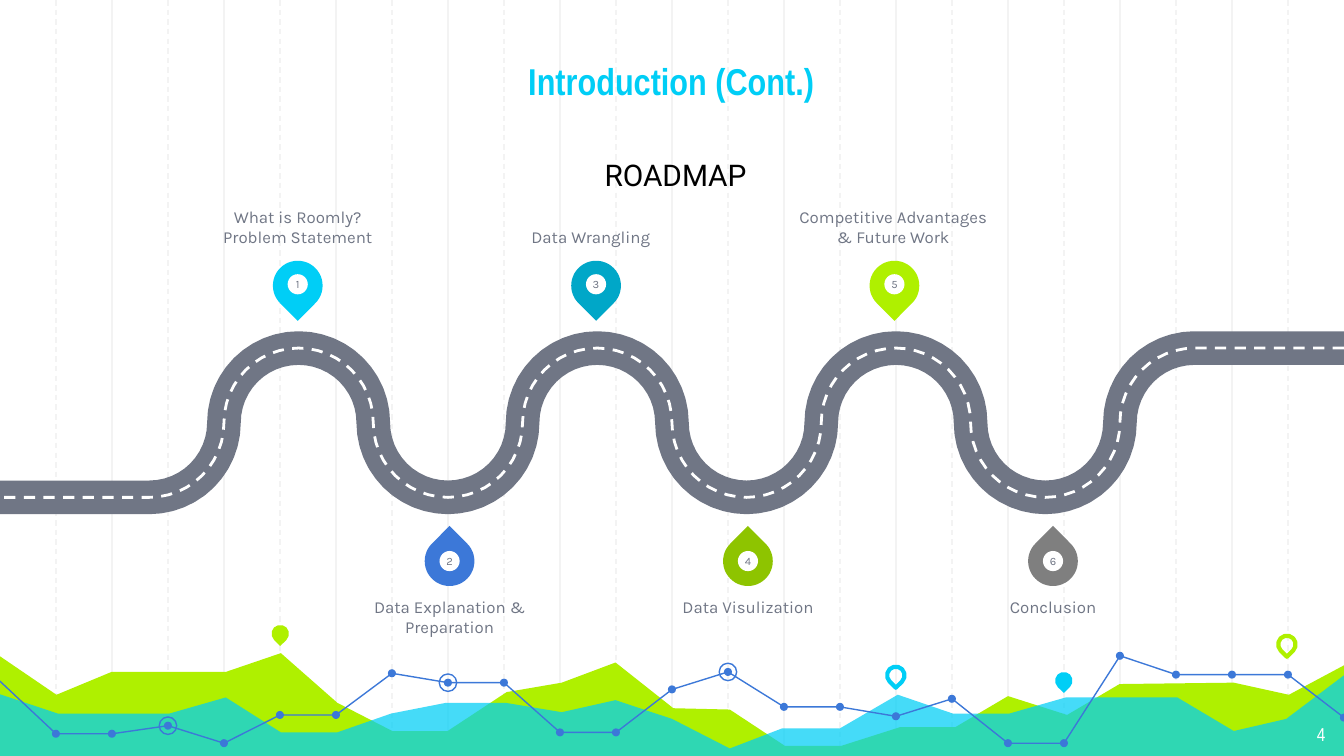
"""Build the "Introduction (Cont.)" roadmap slide."""
from math import cos, pi, sin

from lxml import etree
from pptx import Presentation
from pptx.dml.color import RGBColor
from pptx.enum.dml import MSO_LINE
from pptx.enum.shapes import MSO_CONNECTOR, MSO_SHAPE
from pptx.enum.text import MSO_ANCHOR, MSO_AUTO_SIZE, PP_ALIGN
from pptx.oxml.ns import qn
from pptx.util import Inches, Pt

DASH = MSO_LINE.DASH
STRAIGHT = MSO_CONNECTOR.STRAIGHT
OVAL, TEARDROP = MSO_SHAPE.OVAL, MSO_SHAPE.TEAR
TOP, MIDDLE, BOTTOM = MSO_ANCHOR.TOP, MSO_ANCHOR.MIDDLE, MSO_ANCHOR.BOTTOM
CENTER, RIGHT, JUSTIFY = PP_ALIGN.CENTER, PP_ALIGN.RIGHT, PP_ALIGN.JUSTIFY

CYAN = RGBColor(0x00, 0xCE, 0xF6)
TEAL = RGBColor(0x00, 0xA7, 0xC8)
LIME = RGBColor(0xAF, 0xF0, 0x00)
GREEN = RGBColor(0x8E, 0xC4, 0x00)
BLUE = RGBColor(0x3C, 0x78, 0xD8)
GRAY = RGBColor(0x7F, 0x7F, 0x7F)
SLATE = RGBColor(0x70, 0x76, 0x85)
PALE = RGBColor(0xF3, 0xF3, 0xF3)
WHITE = RGBColor(0xFF, 0xFF, 0xFF)
BLACK = RGBColor(0x00, 0x00, 0x00)


def write_text(shape, text, font="Karla", size=9, color=SLATE, bold=False,
               align=CENTER, anchor=TOP, inset_x=0, inset_y=0):
    frame = shape.text_frame
    frame.text = text
    frame.word_wrap = True
    frame.auto_size = MSO_AUTO_SIZE.NONE
    frame.vertical_anchor = anchor
    frame.margin_left = frame.margin_right = Inches(inset_x)
    frame.margin_top = frame.margin_bottom = Inches(inset_y)
    for paragraph in frame.paragraphs:
        paragraph.alignment = align
        for run in paragraph.runs:
            run.font.name = font
            run.font.size = Pt(size)
            run.font.bold = bold
            run.font.color.rgb = color


def paint(shape, fill=None, line=None, width=0.75):
    shape.shadow.inherit = False
    if fill is None:
        shape.fill.background()
    else:
        shape.fill.solid()
        shape.fill.fore_color.rgb = fill
    if line is None:
        shape.line.fill.background()
    else:
        shape.line.color.rgb = line
        shape.line.width = Pt(width)


presentation = Presentation()
presentation.slide_width = Inches(10)
presentation.slide_height = Inches(10 * 9 / 16)
slide = presentation.slides.add_slide(presentation.slide_layouts[5])
shapes = slide.shapes

column = 10 / 24
for index in range(1, 24):
    x = Inches(index * column)
    grid_line = shapes.add_connector(STRAIGHT, x, 0, x, Inches(5.65))
    grid_line.line.color.rgb = PALE
    grid_line.line.width = Pt(0.75)
    if index % 2:
        grid_line.line.dash_style = DASH
    etree.SubElement(grid_line._element.spPr, qn("a:effectLst"))

lime_area = [
    (-0.02, 4.87), (0.42, 5.17), (0.83, 5), (1.68, 5), (2.09, 4.86), (2.51, 5.23),
    (2.92, 5.44), (3.33, 5.44), (3.77, 5.15), (4.18, 5.08), (4.58, 4.93), (5.01, 5.27),
    (5.43, 5.28), (5.84, 5.55), (6.26, 5.55), (6.7, 5.41), (7.11, 5.41), (7.5, 5.18),
    (7.94, 5.32), (8.33, 5.09), (9.18, 5.08), (9.59, 5.17), (10.02, 4.94),
    (10.01, 5.64), (-0.03, 5.64)]
cyan_area = [
    (-0.02, 5.16), (0.43, 5.31), (1.26, 5.31), (1.68, 5.19), (2.09, 5.45), (2.51, 5.45),
    (2.91, 5.31), (3.32, 5.23), (3.76, 5.23), (4.18, 5.3), (4.58, 5.21), (5, 5.35),
    (5.43, 5.57), (5.82, 5.42), (6.25, 5.42), (6.68, 5.17), (7.09, 5.31), (7.51, 5.31),
    (7.93, 5.19), (8.76, 5.19), (9.18, 5.44), (9.57, 5.35), (10.02, 5.01),
    (10.02, 5.65), (-0.03, 5.65)]

trend_heights = [5.46, 5.46, 5.4, 5.53, 5.32, 5.32, 5.01, 5.08, 5.08, 5.45, 5.45, 5.13,
                 5, 5.26, 5.26, 5.33, 5.2, 5.53, 5.53, 4.88, 5.02, 5.02, 5.02, 5.34]
trend_dots = [(index * column, y) for index, y in enumerate(trend_heights, 1)]
trend_start = [(-0.01, 5.06)] + trend_dots[:11]
trend_middle = trend_dots[10:20]
trend_end = trend_dots[19:]

bend_gap = 10 / 9
bend_radius = bend_gap / 2
road_middle = 2.59 + bend_radius
arc_steps = 24
road = [(0, road_middle + bend_radius)]
for step in range(arc_steps // 2, arc_steps * 15 // 2 + 1):
    bend, part = divmod(step, arc_steps)
    angle = pi * part / arc_steps
    side = -1 if bend % 2 else 1
    road.append((bend_gap * (bend + 1) - bend_radius * cos(angle),
                 road_middle + side * bend_radius * sin(angle)))
road.append((10, road_middle - bend_radius))
road.reverse()

outlines = []
for points, closed, style in [
    (lime_area, True, {"fill": LIME}),
    (cyan_area, True, {"fill": CYAN}),
    (trend_start, False, {"line": BLUE}),
    (trend_middle, False, {"line": BLUE}),
    (trend_end, False, {"line": BLUE}),
    (road, False, {"line": SLATE, "width": 18}),
    (road, False, {"line": WHITE, "width": 1.5}),
]:
    corners = [(Inches(x), Inches(y)) for x, y in points]
    builder = shapes.build_freeform(*corners[0])
    builder.add_line_segments(corners[1:], close=closed)
    outline = builder.convert_to_shape()
    paint(outline, **style)
    outlines.append(outline)
cyan_color = outlines[1]._element.spPr.find(".//" + qn("a:srgbClr"))
etree.SubElement(cyan_color, qn("a:alpha"), val="73000")
outlines[-1].line.dash_style = DASH

for left, top, style in [
    (2.02, 4.65, {"fill": LIME}),
    (6.6, 4.96, {"line": CYAN, "width": 2.25}),
    (7.85, 5, {"fill": CYAN}),
    (9.51, 4.73, {"line": LIME, "width": 2.25}),
]:
    marker = shapes.add_shape(TEARDROP, Inches(left), Inches(top), Inches(0.13), Inches(0.13))
    marker.rotation = 135
    paint(marker, **style)

ringed_dots = [trend_dots[index] for index in (2, 7, 12)]
for centers, size, style in [
    (trend_dots, 0.06, {"fill": BLUE}),
    (ringed_dots, 0.13, {"line": BLUE}),
]:
    for x, y in centers:
        dot = shapes.add_shape(OVAL, Inches(x - size / 2), Inches(y - size / 2),
                               Inches(size), Inches(size))
        paint(dot, **style)

title = shapes.title
title._element.getparent().append(title._element)
title.left, title.top = Inches(1.17), Inches(0.09)
title.width, title.height = Inches(7.65), Inches(0.78)
write_text(title, "Introduction (Cont.)", font="Arial Narrow", size=20, color=CYAN,
           bold=True, anchor=BOTTOM, inset_x=0.1, inset_y=0.1)

page_number = shapes.add_textbox(Inches(9.36), Inches(5.28), Inches(0.6), Inches(0.35))
write_text(page_number, "4", font="Arial Narrow", size=10, color=WHITE, align=RIGHT,
           inset_x=0.1, inset_y=0.1)

milestones = [
    (2.03, 1.51, CYAN, "What is Roomly?\nProblem Statement"),
    (3.16, 2.64, BLUE, "Data Explanation & Preparation"),
    (4.25, 3.69, TEAL, "Data Wrangling"),
    (5.38, 4.86, GREEN, "Data Visulization"),
    (6.47, 5.94, LIME, "Competitive Advantages & Future Work"),
    (7.65, 7.13, GRAY, "Conclusion"),
]
for number, (pin_left, caption_left, color, label) in enumerate(milestones, 1):
    if number % 2:
        pin_top, badge_top, caption_top, rotation, anchor = 1.94, 2.04, 1.26, 135, BOTTOM
    else:
        pin_top, badge_top, caption_top, rotation, anchor = 3.99, 4.1, 4.44, 315, TOP
    pin = shapes.add_shape(TEARDROP, Inches(pin_left), Inches(pin_top),
                           Inches(0.37), Inches(0.37))
    pin.rotation = rotation
    paint(pin, fill=color)
    badge = shapes.add_shape(OVAL, Inches(pin_left + 0.11), Inches(badge_top),
                             Inches(0.15), Inches(0.15))
    paint(badge, fill=WHITE)
    write_text(badge, str(number), size=6, anchor=MIDDLE)
    caption = shapes.add_textbox(Inches(caption_left), Inches(caption_top),
                                 Inches(1.41), Inches(0.58))
    write_text(caption, label, anchor=anchor)

roadmap = shapes.add_textbox(Inches(4.4), Inches(1.12), Inches(1.43), Inches(0.37))
write_text(roadmap, "ROADMAP", font="Roboto", size=16, color=BLACK, align=JUSTIFY,
           inset_x=0.1, inset_y=0.05)

presentation.save("out.pptx")
